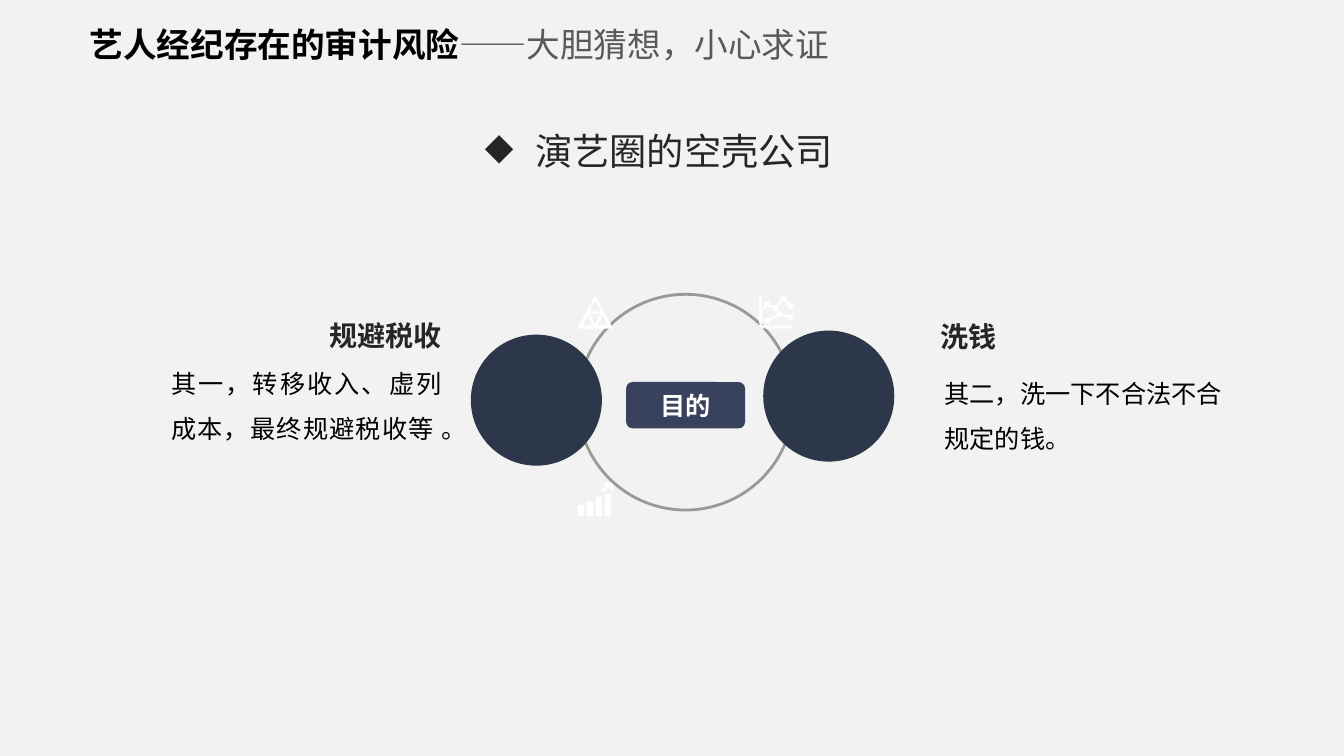
import math
import pptx
import pptx.util
import pptx.dml.color
import pptx.enum.shapes
import pptx.enum.text
import pptx.oxml.ns
import lxml.etree

Inches = pptx.util.Inches
Pt = pptx.util.Pt
SHAPE = pptx.enum.shapes.MSO_SHAPE
ALIGN = pptx.enum.text.PP_ALIGN
MIDDLE = pptx.enum.text.MSO_ANCHOR.MIDDLE
GROW = pptx.enum.text.MSO_AUTO_SIZE.SHAPE_TO_FIT_TEXT
FONT = "Noto Sans CJK SC"
COLORS = {
    "page": "F2F2F2", "black": "000000", "muted": "595959", "ink": "262626",
    "ring": "999999", "label": "39425D", "disc": "2C3749", "white": "FFFFFF",
}

TITLE = [("艺人经纪存在的审计风险", 24, "black", True), ("——大胆猜想，小心求证", 24, "muted", False)]
TITLE_FRAME = {"margin_left": 0, "margin_right": 0, "vertical_anchor": MIDDLE, "word_wrap": True}
GOAL = [("目的", 18, "white", True)]
GOAL_FRAME = {"margin_left": 0, "margin_right": 0, "margin_top": 0, "margin_bottom": 0,
              "vertical_anchor": MIDDLE, "word_wrap": False}
GROW_FRAME = {"word_wrap": True, "auto_size": GROW}

TEXTS = [
    ((0.89, 0.16, 7.86, 0.55), TITLE, TITLE_FRAME, {}, None),
    ((1.6, 3.45, 2.88, 0.95), [("其一，转移收入、虚列成本，最终规避税收等 。", 18, "black", False)],
     GROW_FRAME, {"alignment": ALIGN.JUSTIFY, "line_spacing": 1.5}, None),
    ((1.98, 3.11, 2.5, 0.44), [("规避税收", 20, "ink", True)],
     GROW_FRAME, {"alignment": ALIGN.RIGHT}, None),
    ((9.27, 3.55, 2.95, 0.95), [("其二，洗一下不合法不合规定的钱。", 18, "black", False)],
     GROW_FRAME, {"line_spacing": 1.5}, None),
    ((9.23, 3.12, 2.5, 0.44), [("洗钱", 20, "ink", True)], GROW_FRAME, {}, None),
    ((4.71, 1.22, 4.04, 0.55), [("演艺圈的空壳公司", 26.6, "ink", False)], GROW_FRAME, {}, "◆"),
]

RING = (5.73, 2.92, 2.14, 2.14)
GOAL_BOX = (6.21, 3.79, 1.18, 0.46)
DISCS = [(4.67, 3.32, 1.3, 1.3), (7.57, 3.28, 1.3, 1.3)]

TREND_LINES = [
    [(7.55, 3.09), (7.61, 3.02), (7.69, 3.06), (7.77, 2.96), (7.84, 3.04)],
    [(7.55, 3.18), (7.62, 3.18), (7.73, 3.12), (7.84, 3.15)],
]
DOT_RADIUS = 0.03
TRIANGLES = [
    [(5.9, 2.93), (5.73, 3.26), (6.08, 3.26)],
    [(5.9, 2.98), (5.96, 3.09), (5.85, 3.09)],
    [(5.77, 3.23), (5.83, 3.13), (5.88, 3.23)],
    [(5.85, 3.11), (5.96, 3.11), (5.9, 3.22)],
    [(5.98, 3.13), (6.03, 3.23), (5.92, 3.23)],
]
BAR_TOPS = [5.01, 4.97, 4.93, 4.9]
ARROW = [(6, 4.79), (6.06, 4.79), (6.08, 4.8), (6.08, 4.86), (6.06, 4.87), (6.05, 4.86),
         (6.05, 4.83), (5.98, 4.88), (5.96, 4.88), (5.96, 4.86), (6.02, 4.82), (6, 4.82), (5.99, 4.8)]


def rgb(name):
    return pptx.dml.color.RGBColor.from_string(COLORS[name])


def set_all(target, values):
    for key, value in values.items():
        setattr(target, key, value)


def write(frame, runs, frame_format, paragraph_format, bullet=None):
    set_all(frame, frame_format)
    paragraph = frame.paragraphs[0]
    set_all(paragraph, paragraph_format)
    if bullet:
        properties = paragraph._p.get_or_add_pPr()
        properties.set("marL", str(Inches(0.5)))
        properties.set("indent", str(Inches(-0.5)))
        mark = lxml.etree.SubElement(properties, pptx.oxml.ns.qn("a:buChar"))
        mark.set("char", bullet)
    for words, size, color, bold in runs:
        run = paragraph.add_run()
        run.text = words
        set_all(run.font, {"size": Pt(size), "bold": bold, "name": FONT})
        run.font.color.rgb = rgb(color)
        east_asian = lxml.etree.SubElement(run._r.get_or_add_rPr(), pptx.oxml.ns.qn("a:ea"))
        east_asian.set("typeface", FONT)


def paint(shape, fill=None, line=None):
    shape.shadow.inherit = False
    if fill:
        shape.fill.solid()
        shape.fill.fore_color.rgb = rgb(fill)
    else:
        shape.fill.background()
    if line:
        shape.line.color.rgb = rgb(line)
        shape.line.width = Pt(2)
    else:
        shape.line.fill.background()
    return shape


def add_shape(slide, kind, box, **colors):
    return paint(slide.shapes.add_shape(kind, *map(Inches, box)), **colors)


def add_icon(slide, contours):
    builder = None
    for contour in contours:
        start, *rest = [(Inches(x), Inches(y)) for x, y in contour]
        if builder is None:
            builder = slide.shapes.build_freeform(*start)
        else:
            builder.move_to(*start)
        builder.add_line_segments(rest, close=True)
    paint(builder.convert_to_shape(), fill="white")


def rectangle(left, top, right, bottom):
    return [(left, top), (right, top), (right, bottom), (left, bottom)]


def dot(x, y):
    angles = [math.pi * step / 6 for step in range(12)]
    return [(x + DOT_RADIUS * math.cos(a), y + DOT_RADIUS * math.sin(a)) for a in angles]


def link(start, end, from_axis):
    (x1, y1), (x2, y2) = start, end
    length = math.dist(start, end)
    dx, dy = (x2 - x1) / length, (y2 - y1) / length
    gap = 0 if from_axis else DOT_RADIUS
    x1, y1 = x1 + dx * gap, y1 + dy * gap
    x2, y2 = x2 - dx * DOT_RADIUS, y2 - dy * DOT_RADIUS
    px, py = -dy * 0.01, dx * 0.01
    return [(x1 + px, y1 + py), (x2 + px, y2 + py), (x2 - px, y2 - py), (x1 - px, y1 - py)]


def trend_icon():
    contours = [[(7.54, 2.93), (7.55, 2.93), (7.55, 3.24), (7.87, 3.24), (7.87, 3.25), (7.54, 3.25)]]
    for step in range(11):
        y, x = 2.95 + 0.028 * step, 7.57 + 0.028 * step
        contours += [rectangle(left, y - 0.01, left + 0.01, y + 0.01) for left in (7.53, 7.55)]
        contours += [rectangle(x - 0.01, top, x + 0.01, top + 0.01) for top in (3.23, 3.25)]
    for points in TREND_LINES:
        contours += [dot(*point) for point in points[1:]]
        contours += [link(a, b, i == 0) for i, (a, b) in enumerate(zip(points, points[1:]))]
    return contours


def bars_icon():
    lefts = [5.73 + 0.09 * i for i in range(len(BAR_TOPS))]
    return [rectangle(x, top, x + 0.06, 5.12) for x, top in zip(lefts, BAR_TOPS)] + [ARROW]


def main():
    deck = pptx.Presentation()
    deck.slide_width, deck.slide_height = Inches(13.33), Inches(7.5)
    slide = deck.slides.add_slide(deck.slide_layouts[6])
    slide.background.fill.solid()
    slide.background.fill.fore_color.rgb = rgb("page")

    add_shape(slide, SHAPE.OVAL, RING, line="ring")
    for contours in (trend_icon(), TRIANGLES, bars_icon()):
        add_icon(slide, contours)
    goal = add_shape(slide, SHAPE.ROUNDED_RECTANGLE, GOAL_BOX, fill="label")
    goal.adjustments[0] = 0.14
    write(goal.text_frame, GOAL, GOAL_FRAME, {"alignment": ALIGN.CENTER})
    for disc in DISCS:
        add_shape(slide, SHAPE.OVAL, disc, fill="disc")
    for box, *content in TEXTS:
        write(slide.shapes.add_textbox(*map(Inches, box)).text_frame, *content)

    deck.save("out.pptx")


if __name__ == "__main__":
    main()
